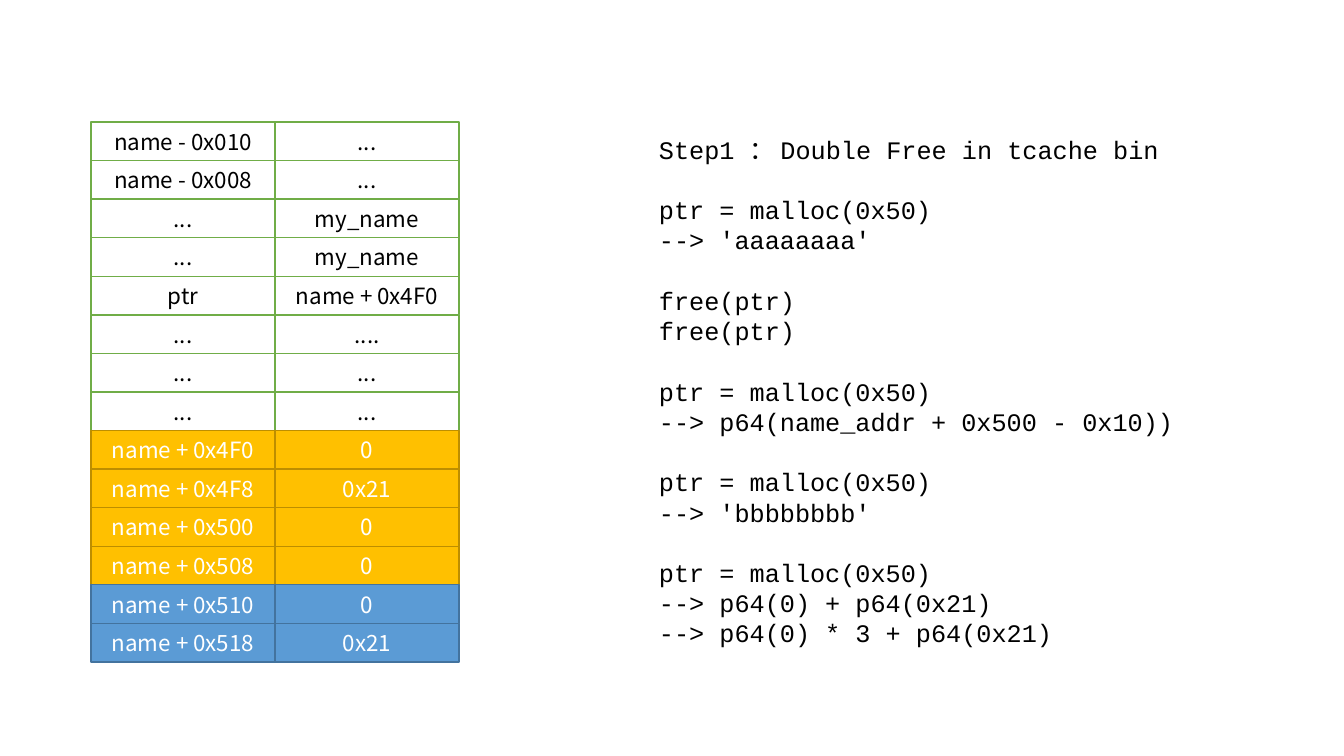
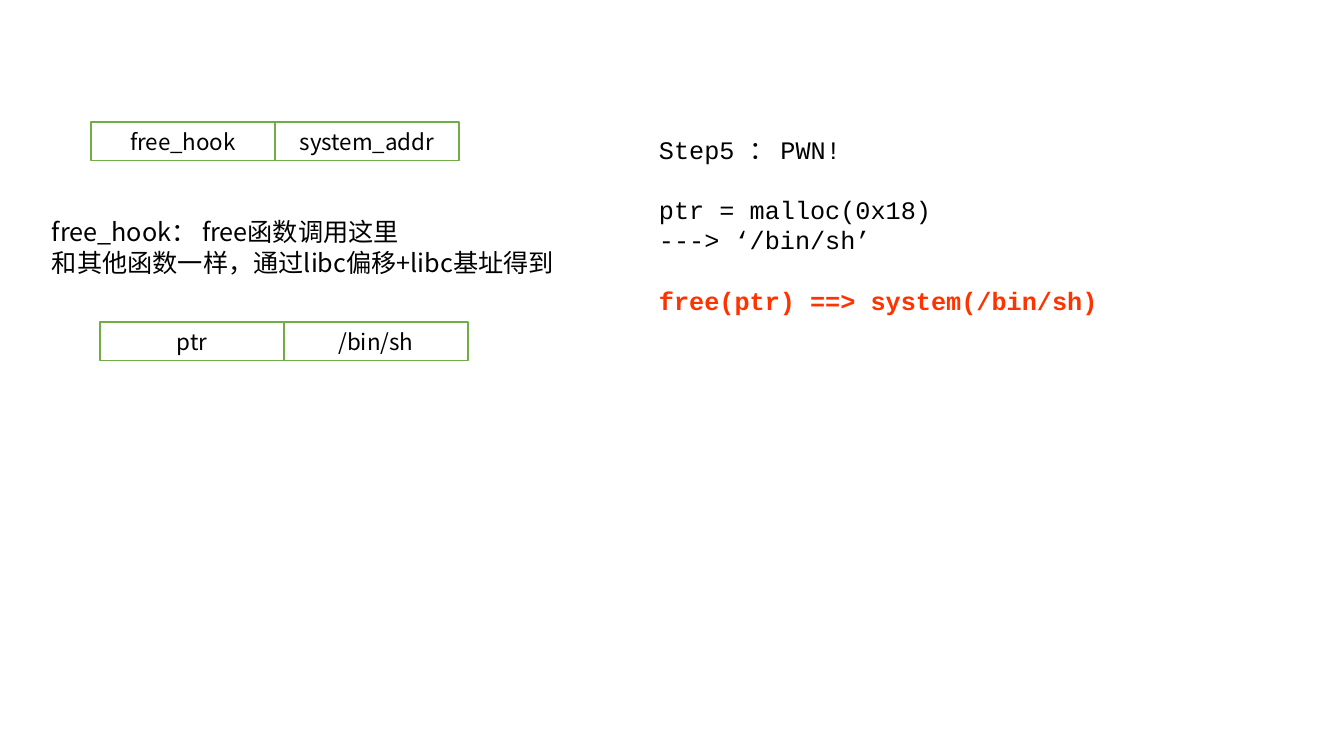
from lxml import etree
from pptx import Presentation
from pptx.dml.color import RGBColor
from pptx.enum.shapes import MSO_SHAPE
from pptx.enum.text import MSO_ANCHOR, MSO_AUTO_SIZE, PP_ALIGN
from pptx.oxml.ns import qn
from pptx.util import Emu, Pt

RECTANGLE = MSO_SHAPE.RECTANGLE
MIDDLE = MSO_ANCHOR.MIDDLE
GROW = MSO_AUTO_SIZE.SHAPE_TO_FIT_TEXT
LEFT, CENTER = PP_ALIGN.LEFT, PP_ALIGN.CENTER

BLACK = RGBColor(0x00, 0x00, 0x00)
WHITE = RGBColor(0xFF, 0xFF, 0xFF)
GREEN = RGBColor(0x70, 0xAD, 0x47)
GOLD = RGBColor(0xFF, 0xC0, 0x00)
DARK_GOLD = RGBColor(0xBD, 0x8E, 0x00)
BLUE = RGBColor(0x5B, 0x9B, 0xD5)
DARK_BLUE = RGBColor(0x43, 0x73, 0x9E)
RED = RGBColor(0xFF, 0x33, 0x00)

CODE_FONT = "Courier New"
BODY_FONT = "Noto Sans CJK SC"
CODE_SPACING = Pt(21.6)
NOTE_SPACING = Pt(22)

# Cell styles: fill, line, text
PLAIN = (WHITE, GREEN, BLACK)
FAKE_CHUNK = (GOLD, DARK_GOLD, WHITE)
NEXT_CHUNK = (BLUE, DARK_BLUE, WHITE)

# Lengths in px
SLIDE_SIZE = (1344, 756)
GRID_ORIGIN = (91, 122)
POINTER_ORIGIN = (100, 322)
CELL_WIDTH = 184
CELL_HEIGHT = 540 / 14
STEP1_BOX = (649, 129, 603, 529)
STEP5_BOX = (649, 129, 603, 224)
NOTE_BOX = (42, 211, 553, 72)

MEMORY = [
    ("name - 0x010", "...", PLAIN),
    ("name - 0x008", "...", PLAIN),
    ("...", "my_name", PLAIN),
    ("...", "my_name", PLAIN),
    ("ptr", "name + 0x4F0", PLAIN),
    ("...", "....", PLAIN),
    ("...", "...", PLAIN),
    ("...", "...", PLAIN),
    ("name + 0x4F0", "0", FAKE_CHUNK),
    ("name + 0x4F8", "0x21", FAKE_CHUNK),
    ("name + 0x500", "0", FAKE_CHUNK),
    ("name + 0x508", "0", FAKE_CHUNK),
    ("name + 0x510", "0", NEXT_CHUNK),
    ("name + 0x518", "0x21", NEXT_CHUNK),
]
HOOK = [("free_hook", "system_addr", PLAIN)]
POINTER = [("ptr", "/bin/sh", PLAIN)]

# Groups of lines, set apart by one line
STEP1 = [
    ["Step1 ： Double Free in tcache bin"],
    ["ptr = malloc(0x50)", "--> 'aaaaaaaa'"],
    ["free(ptr)", "free(ptr)"],
    ["ptr = malloc(0x50)", "--> p64(name_addr + 0x500 - 0x10))"],
    ["ptr = malloc(0x50)", "--> 'bbbbbbbb'"],
    ["ptr = malloc(0x50)", "--> p64(0) + p64(0x21)", "--> p64(0) * 3 + p64(0x21)"],
]
RESULT = "free(ptr) ==> system(/bin/sh)"
STEP5 = [
    ["Step5 ： PWN!"],
    ["ptr = malloc(0x18)", "---> ‘/bin/sh’"],
    [RESULT],
]
NOTE = [["free_hook： free函数调用这里", "和其他函数一样，通过libc偏移+libc基址得到"]]


def px(length):
    return Emu(round(length * 914400 / 100.8))


def style_paragraph(paragraph, font_name, size, color, alignment=LEFT):
    paragraph.alignment = alignment
    font = paragraph.font
    font.name, font.size, font.color.rgb = font_name, Pt(size), color
    defaults = paragraph._p.pPr.find(qn("a:defRPr"))
    etree.SubElement(defaults, qn("a:ea")).set("typeface", BODY_FONT)


def add_cell(slide, left, top, text, style):
    fill, line, color = style
    cell = slide.shapes.add_shape(
        RECTANGLE, px(left), px(top), px(CELL_WIDTH), px(CELL_HEIGHT))
    cell.shadow.inherit = False
    cell.fill.solid()
    cell.fill.fore_color.rgb = fill
    cell.line.color.rgb = line
    cell.line.width = Pt(1)
    frame = cell.text_frame
    frame.vertical_anchor = MIDDLE
    frame.text = text
    style_paragraph(frame.paragraphs[0], BODY_FONT, 16, color, CENTER)


def add_memory(slide, origin, rows):
    """Draw address and value cells, one column after the other."""
    left, top = origin
    for column in range(2):
        for index, row in enumerate(rows):
            add_cell(slide, left + column * CELL_WIDTH,
                     top + index * CELL_HEIGHT, row[column], row[2])


def add_text(slide, box, groups, font_name, spacing):
    frame = slide.shapes.add_textbox(*map(px, box)).text_frame
    frame.word_wrap = True
    frame.auto_size = GROW
    frame.text = "\n".join(line for group in groups for line in group)
    paragraphs = iter(frame.paragraphs)
    for group_index, group in enumerate(groups):
        for line_index, line in enumerate(group):
            paragraph = next(paragraphs)
            paragraph.line_spacing = spacing
            if group_index and not line_index:
                paragraph.space_before = spacing
            is_result = line == RESULT
            style_paragraph(paragraph, font_name, 18, RED if is_result else BLACK)
            paragraph.font.bold = is_result


def main():
    presentation = Presentation()
    presentation.slide_width, presentation.slide_height = map(px, SLIDE_SIZE)
    blank = presentation.slide_layouts[6]

    slide = presentation.slides.add_slide(blank)
    add_text(slide, STEP1_BOX, STEP1, CODE_FONT, CODE_SPACING)
    add_memory(slide, GRID_ORIGIN, MEMORY)

    slide = presentation.slides.add_slide(blank)
    add_memory(slide, GRID_ORIGIN, HOOK)
    add_text(slide, STEP5_BOX, STEP5, CODE_FONT, CODE_SPACING)
    add_text(slide, NOTE_BOX, NOTE, BODY_FONT, NOTE_SPACING)
    add_memory(slide, POINTER_ORIGIN, POINTER)

    presentation.save("out.pptx")


if __name__ == "__main__":
    main()
